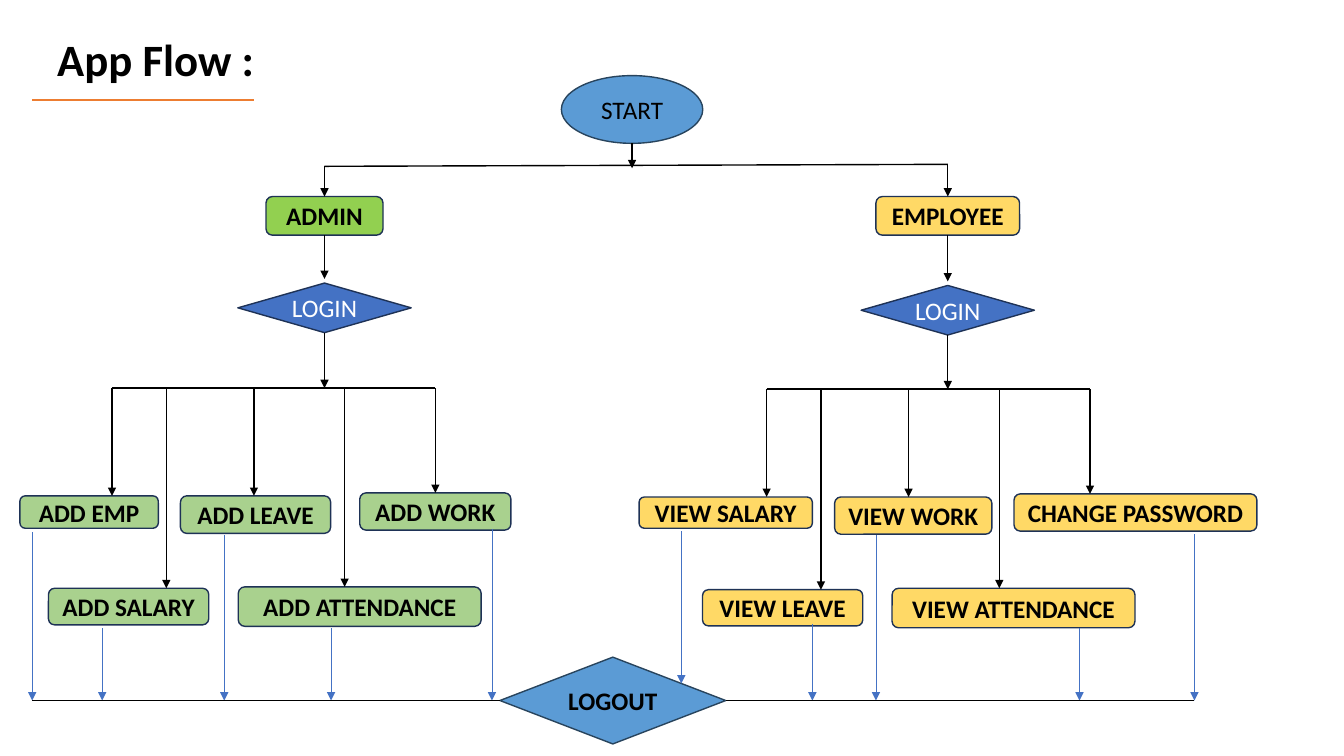
from lxml import etree
from pptx import Presentation
from pptx.dml.color import RGBColor
from pptx.enum.shapes import MSO_CONNECTOR, MSO_SHAPE
from pptx.enum.text import MSO_ANCHOR, PP_ALIGN
from pptx.oxml.ns import qn
from pptx.util import Pt

STRAIGHT = MSO_CONNECTOR.STRAIGHT
OVAL = MSO_SHAPE.OVAL
ROUNDED = MSO_SHAPE.ROUNDED_RECTANGLE
DECISION = MSO_SHAPE.FLOWCHART_DECISION
MIDDLE = MSO_ANCHOR.MIDDLE
CENTER = PP_ALIGN.CENTER
TOP, LEFT, BOTTOM, RIGHT = range(4)

THEME = {
    "font": "Calibri", "title_size": 32, "label_size": 18,
    "black": "000000", "white": "FFFFFF", "accent": "ED7D31",
    "terminal": "5B9BD5", "terminal_edge": "28445D",
    "login": "4472C4", "edge": "1E3256", "exit": "4472C4",
    "admin": "92D050", "admin_action": "A9D18E", "employee": "FFD966",
}

# Boxes are (left, top, width, height) in points.
TITLE = ("App Flow :", (33.8, 16.6, 171.4, 54.7))
UNDERLINE = ((23, 71.3), (181.4, 71.3))
START = ("START", (401, 54, 101, 48.4))
LOGOUT = ("LOGOUT", (357.1, 469.4, 161.3, 62))
START_ARROW_END = 120.2
LOGIN_SIZE = (123.8, 35.4)
LOGIN_GAP = 2.9
RAIL_Y = 500.4
DROP_OFFSETS = (0, 38.8, 101.4, 166.2, 231)  # from the left end of the bus

# Each action: label, box, exit start (x, y), exit end y.
BRANCHES = [
    {
        "role": "ADMIN", "box": (190, 140.4, 83.6, 27.6),
        "fill": "admin", "action_fill": "admin_action",
        "split_y": 118.8, "login_top": 202.2, "bus_start": (80, 277.2), "rail_side": LEFT,
        "actions": [
            ("ADD EMP", (14.2, 354.2, 98.9, 23.2), (23, 380.2), RAIL_Y),
            ("ADD SALARY", (34.6, 420.2, 114.5, 26.1), (73, 448.6), RAIL_Y),
            ("ADD LEAVE", (128.9, 354.2, 107.3, 26.8), (160.2, 382.3), RAIL_Y),
            ("ADD ATTENDANCE", (170.2, 419.2, 173.5, 28.2), (236.5, 448.6), RAIL_Y),
            ("ADD WORK", (257, 352.1, 108, 26.6), (351.4, 378), RAIL_Y),
        ],
    },
    {
        "role": "EMPLOYEE", "box": (625.7, 140.4, 102.6, 27.6),
        "fill": "employee", "action_fill": "employee",
        "split_y": 117.4, "login_top": 203.9, "bus_start": (547.6, 278), "rail_side": RIGHT,
        "actions": [
            ("VIEW SALARY", (456.5, 355, 123.8, 22.3), (486.7, 379.4), 488.2),
            ("VIEW LEAVE", (501.8, 421.2, 114.5, 25.9), (580.3, 445.7), RAIL_Y),
            ("VIEW WORK", (596.2, 355, 112.3, 26.6), (625.7, 382.3), RAIL_Y),
            ("VIEW ATTENDANCE", (637.2, 420.2, 173.5, 28.2), (771.1, 448.6), RAIL_Y),
            ("CHANGE PASSWORD", (724.3, 352.8, 173.5, 26.6), (853.2, 381.6), RAIL_Y),
        ],
    },
]


def color(name):
    return RGBColor.from_string(THEME[name])


def write_label(shape, label, size="label_size", ink="black", bold=True):
    frame = shape.text_frame
    frame.text = label
    frame.word_wrap = False
    frame.vertical_anchor = MIDDLE
    paragraph = frame.paragraphs[0]
    font = paragraph.runs[0].font
    font.name, font.size, font.bold = THEME["font"], Pt(THEME[size]), bold
    font.color.rgb = color(ink)
    return paragraph


def add_node(slide, kind, label, box, fill, edge="edge", ink="black", bold=True):
    shape = slide.shapes.add_shape(kind, *map(Pt, box))
    shape.shadow.inherit = False
    shape.fill.solid()
    shape.fill.fore_color.rgb = color(fill)
    shape.line.color.rgb = color(edge)
    shape.line.width = Pt(1)
    write_label(shape, label, ink=ink, bold=bold).alignment = CENTER
    return shape


def add_line(slide, start, end, ink="black", width=1, arrow=False, begin=None, finish=None):
    """Draw a line; begin and finish are optional (shape, side) joints."""
    line = slide.shapes.add_connector(STRAIGHT, *map(Pt, (*start, *end)))
    line.line.color.rgb = color(ink)
    line.line.width = Pt(width)
    if arrow:
        etree.SubElement(line.line._get_or_add_ln(), qn("a:tailEnd"), type="triangle")
    etree.SubElement(line._element.spPr, qn("a:effectLst"))
    if begin:
        line.begin_connect(*begin)
    if finish:
        line.end_connect(*finish)


def center_x(box):
    return box[0] + box[2] / 2


def add_branch(slide, branch, logout):
    axis = center_x(branch["box"])
    bus_left, bus_y = branch["bus_start"]
    login_top = branch["login_top"]
    role_top = branch["box"][1]
    role_bottom = role_top + branch["box"][3]
    login_width, login_height = LOGIN_SIZE

    role = add_node(slide, ROUNDED, branch["role"], branch["box"], branch["fill"])
    login = add_node(slide, DECISION, "LOGIN", (axis - login_width / 2, login_top, *LOGIN_SIZE),
                     "login", ink="white", bold=False)
    add_line(slide, (axis, branch["split_y"]), (axis, role_top), arrow=True, finish=(role, TOP))
    add_line(slide, (axis, role_bottom), (axis, login_top - LOGIN_GAP),
             arrow=True, begin=(role, BOTTOM))
    add_line(slide, (axis, login_top + login_height), (axis, bus_y),
             arrow=True, begin=(login, BOTTOM))

    drops = [bus_left + offset for offset in DROP_OFFSETS]
    add_line(slide, (drops[0], bus_y), (drops[-1], bus_y))
    for drop_x, (label, box, exit_start, exit_end) in zip(drops, branch["actions"]):
        action = add_node(slide, ROUNDED, label, box, branch["action_fill"])
        joint = (action, TOP) if abs(center_x(box) - drop_x) < 0.5 else None
        add_line(slide, (drop_x, bus_y), (drop_x, box[1]), arrow=True, finish=joint)
        add_line(slide, exit_start, (exit_start[0], exit_end), "exit", 0.5, arrow=True)

    exits = [action[2][0] for action in branch["actions"]]
    rail_end = min(exits) if branch["rail_side"] == LEFT else max(exits)
    add_line(slide, (center_x(LOGOUT[1]), RAIL_Y), (rail_end, RAIL_Y),
             begin=(logout, branch["rail_side"]))


def main():
    presentation = Presentation()
    presentation.slide_width, presentation.slide_height = Pt(960), Pt(540)
    slide = presentation.slides.add_slide(presentation.slide_layouts[6])

    title = slide.shapes.add_textbox(*map(Pt, TITLE[1]))
    write_label(title, TITLE[0], "title_size").line_spacing = 0.9
    title.text_frame.word_wrap = True
    add_line(slide, *UNDERLINE, "accent", 1.5)

    add_node(slide, OVAL, *START, "terminal", "terminal_edge", bold=False)
    start_x = center_x(START[1])
    add_line(slide, (start_x, START[1][1] + START[1][3]), (start_x, START_ARROW_END), arrow=True)
    add_line(slide, *[(center_x(branch["box"]), branch["split_y"]) for branch in BRANCHES])

    logout = add_node(slide, DECISION, *LOGOUT, "terminal", "terminal_edge")
    for branch in BRANCHES:
        add_branch(slide, branch, logout)
    presentation.save("out.pptx")


if __name__ == "__main__":
    main()
